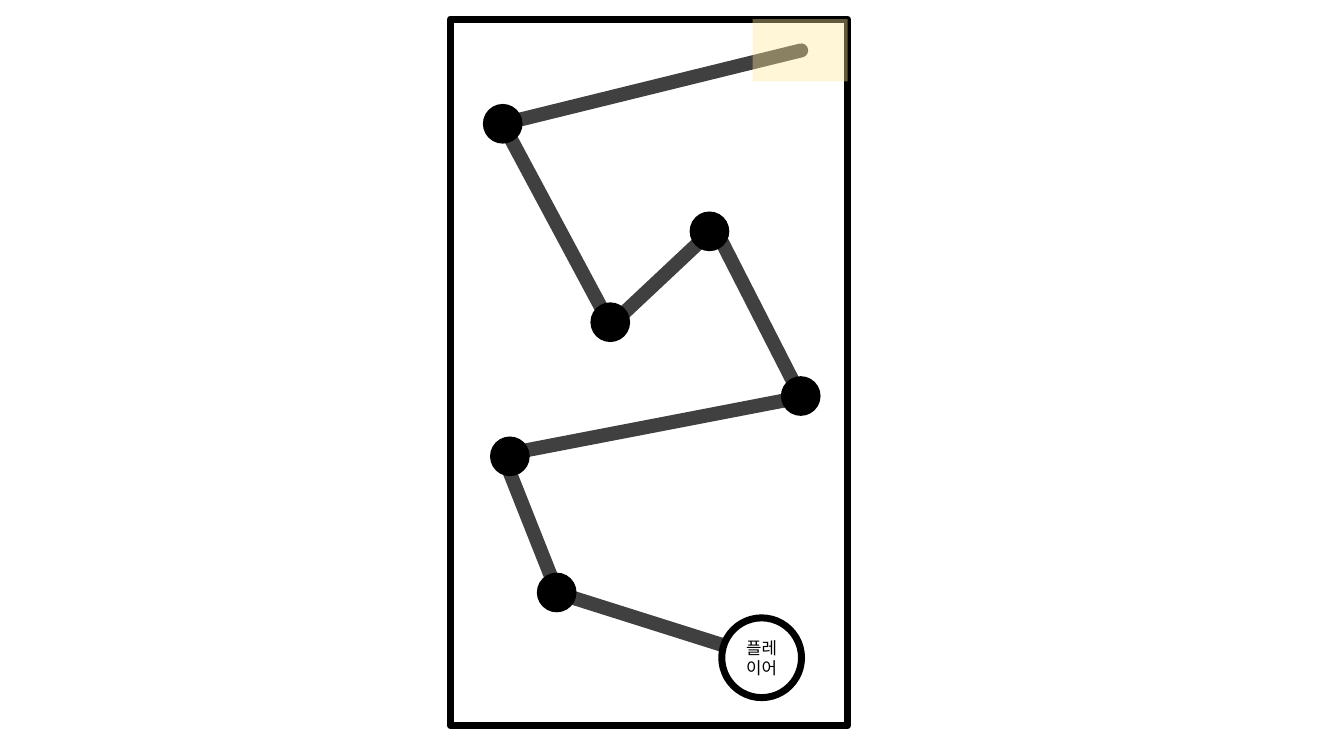
"""Build a slide with a zigzag game path from the player to the goal area."""
from itertools import pairwise

from lxml.etree import SubElement
from pptx import Presentation
from pptx.dml.color import RGBColor
from pptx.enum.shapes import MSO_CONNECTOR, MSO_SHAPE
from pptx.enum.text import MSO_ANCHOR, PP_ALIGN
from pptx.oxml.ns import qn
from pptx.util import Cm, Pt

BLACK = RGBColor(0x00, 0x00, 0x00)
WHITE = RGBColor(0xFF, 0xFF, 0xFF)
GRAY = RGBColor(0x40, 0x40, 0x40)
YELLOW = RGBColor(0xFF, 0xE6, 0x99)
FONT = "Noto Sans CJK KR"
JOINT_SIZE = 1


def add_shape(kind, left, top, width, height, fill=None, line=None):
    sp = s.shapes.add_shape(kind, Cm(left), Cm(top), Cm(width), Cm(height))
    sp.shadow.inherit = False
    if fill is None:
        sp.fill.background()
    else:
        sp.fill.solid()
        sp.fill.fore_color.rgb = fill
    if line is None:
        sp.line.fill.background()
    else:
        sp.line.color.rgb = line
        sp.line.width = Pt(5)
    return sp


def add_text(sp, text, size=12, color=BLACK, font=FONT, align=PP_ALIGN.CENTER):
    tf = sp.text_frame
    tf.word_wrap = True
    tf.vertical_anchor = MSO_ANCHOR.MIDDLE
    p = tf.paragraphs[0]
    p.alignment = align
    r = p.add_run()
    r.text = text
    r.font.size = Pt(size)
    r.font.name = font
    r.font.color.rgb = color
    SubElement(r.font._element, qn("a:ea"), typeface=font)


prs = Presentation()
prs.slide_width, prs.slide_height = Cm(33.87), Cm(19.05)
s = prs.slides.add_slide(prs.slide_layouts[6])

add_shape(MSO_SHAPE.RECTANGLE, 11.35, 0.48, 10.01, 17.81, line=BLACK)

path_points = [(19.18, 16.56), (14.05, 14.94), (12.67, 11.46), (20.19, 10.01),
               (18.01, 5.74), (15.39, 8.2), (12.67, 3.12), (20.19, 1.27)]
for (x1, y1), (x2, y2) in pairwise(path_points):
    cn = s.shapes.add_connector(MSO_CONNECTOR.STRAIGHT, Cm(x1), Cm(y1), Cm(x2), Cm(y2))
    cn.line.color.rgb = GRAY
    cn.line.width = Pt(10)
    cn.line._get_or_add_ln().set("cap", "rnd")
    SubElement(cn._element.spPr, qn("a:effectLst"))

player = add_shape(MSO_SHAPE.OVAL, 18.19, 15.57, 2.01, 2.01, fill=WHITE, line=BLACK)
add_text(player, "플레이어")

goal = add_shape(MSO_SHAPE.RECTANGLE, 18.97, 0.48, 2.39, 1.57, fill=YELLOW)
goal_color = goal.fill._xPr.find(qn("a:solidFill"))[0]
SubElement(goal_color, qn("a:alpha"), val="39000")

joint_centers = [(14.03, 14.93), (12.85, 11.5), (12.67, 3.12),
                 (15.38, 8.12), (17.88, 5.83), (20.18, 9.98)]
for x, y in joint_centers:
    add_shape(MSO_SHAPE.OVAL, x - JOINT_SIZE / 2, y - JOINT_SIZE / 2,
              JOINT_SIZE, JOINT_SIZE, fill=BLACK)

prs.save("out.pptx")
